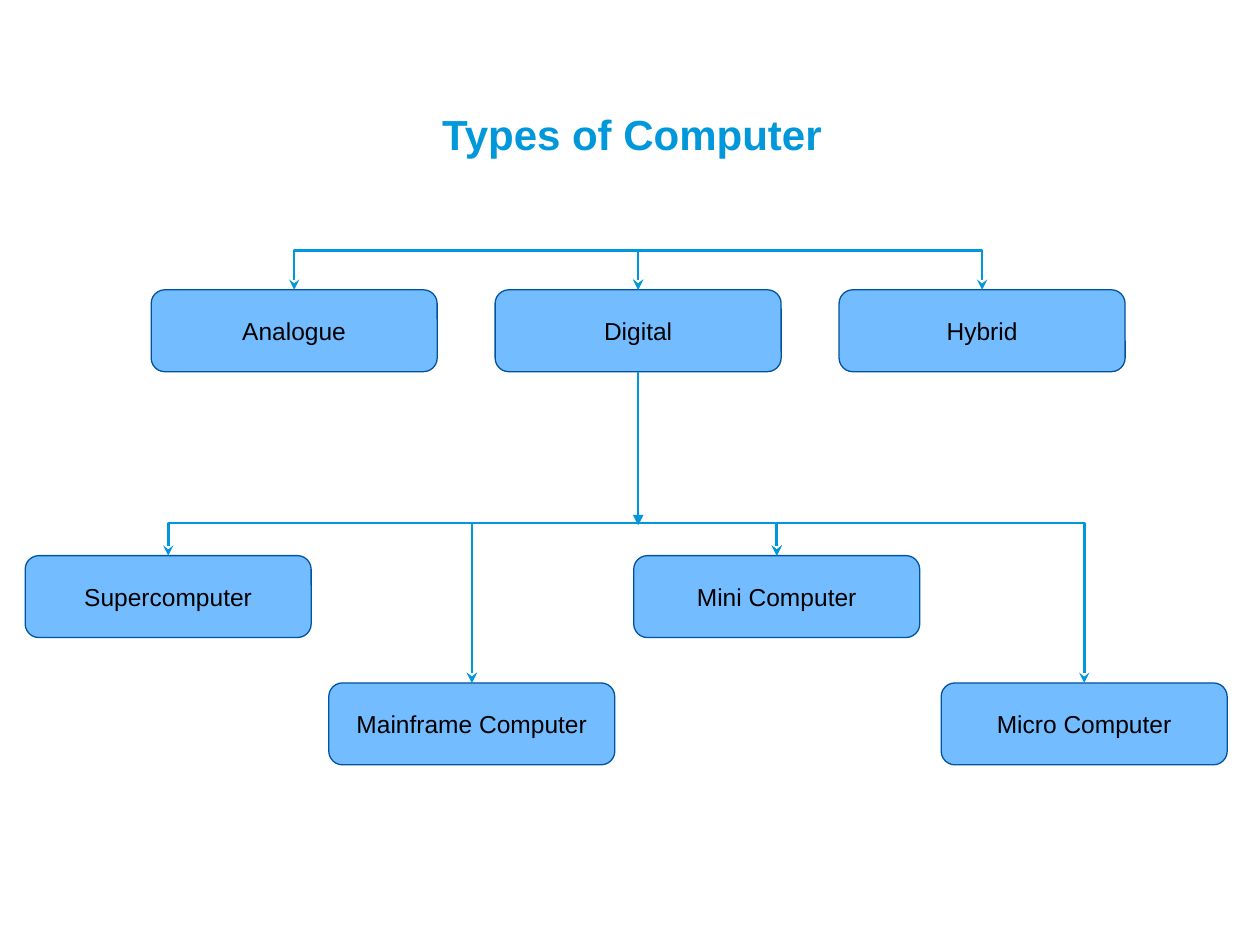
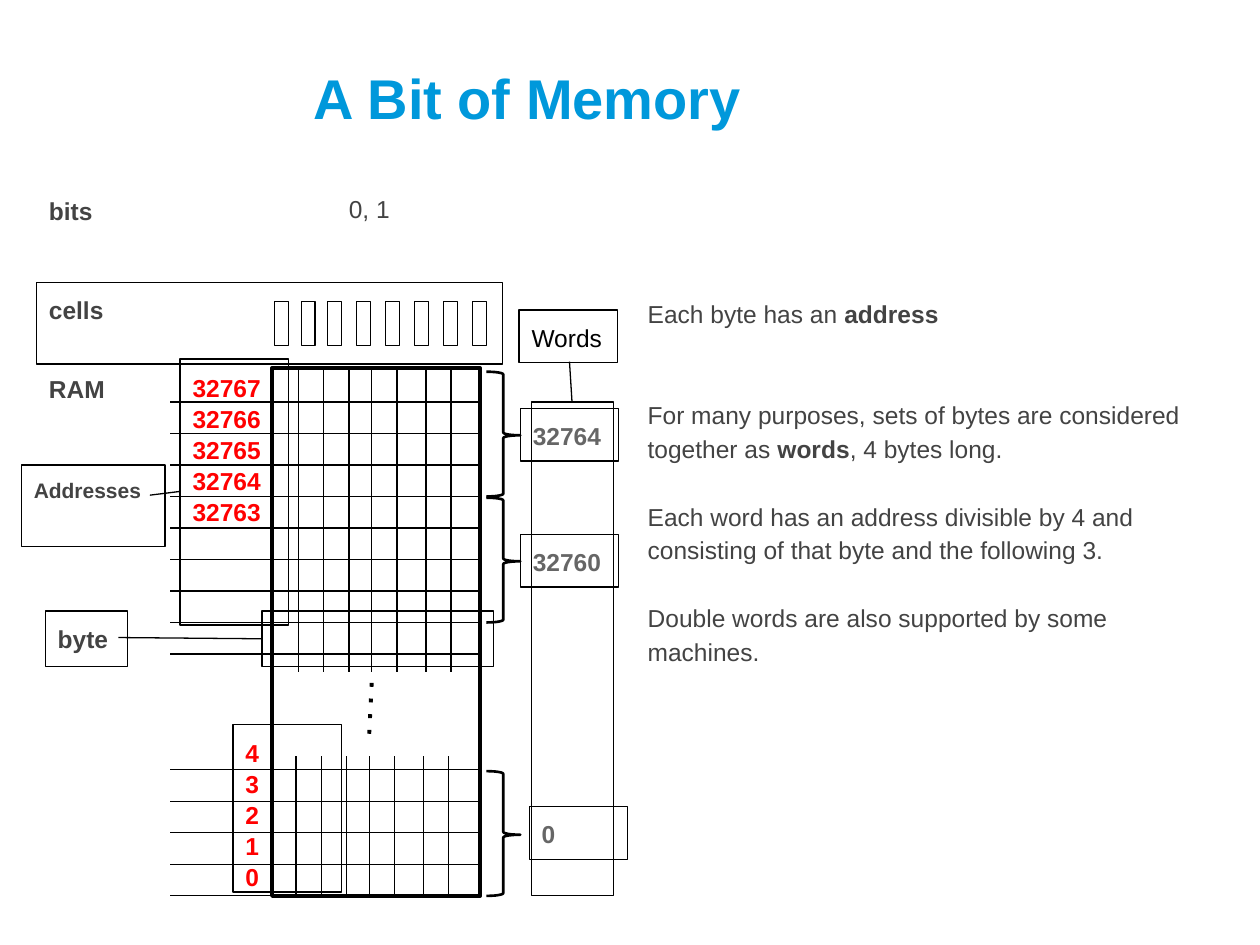
import dataclasses

import lxml.etree
import pptx
import pptx.dml.color
import pptx.enum.shapes
import pptx.enum.text
import pptx.oxml.ns
import pptx.util

KIND = pptx.enum.shapes.MSO_SHAPE
LINK = pptx.enum.shapes.MSO_CONNECTOR
ALIGN = pptx.enum.text.PP_ALIGN
ANCHOR = pptx.enum.text.MSO_ANCHOR


@dataclasses.dataclass(frozen=True)
class Theme:
    font: str = "Arial"
    blue: str = "0098DB"
    sky: str = "72BCFF"
    navy: str = "00549F"
    black: str = "000000"
    dark: str = "434343"
    grey: str = "666666"
    red: str = "FF0000"
    head: float = 32
    sub: float = 24
    text: float = 14
    small: float = 12
    thin: float = 0.75
    mid: float = 1.5
    thick: float = 2.25


THEME = Theme()
COLS, ROWS = 100, 75
CELL = pptx.util.Inches(0.1)


def grid(*cells):
    """Turn grid columns or rows into slide lengths."""
    return [round(cell * CELL) for cell in cells]


def rgb(code):
    return pptx.dml.color.RGBColor.from_string(code)


def put(parent, tag, **attrs):
    return lxml.etree.SubElement(parent, pptx.oxml.ns.qn(tag), **attrs)


def place(shape, box):
    shape.left, shape.top, shape.width, shape.height = grid(*box)


def write(frame, paras, color, size=THEME.text, bold=False, align=ALIGN.LEFT,
          anchor=ANCHOR.TOP, pad=1, lead=None):
    """Fill a frame; each paragraph is a string or a list of (text, bold)."""
    frame.word_wrap = True
    frame.auto_size = pptx.enum.text.MSO_AUTO_SIZE.NONE
    frame.vertical_anchor = anchor
    frame.margin_left = frame.margin_right = CELL
    frame.margin_top = frame.margin_bottom = grid(pad)[0]
    for num, runs in enumerate(paras):
        para = frame.add_paragraph() if num else frame.paragraphs[0]
        para.alignment = align
        para.space_before = pptx.util.Pt(0)
        if lead:
            para.line_spacing = lead
        for text, strong in [(runs, bold)] if isinstance(runs, str) else runs:
            run = para.add_run()
            run.text = text
            run.font.name = THEME.font
            run.font.size = pptx.util.Pt(size)
            run.font.bold = strong
            run.font.color.rgb = rgb(color)


def title(slide, text, box, size):
    shape = slide.shapes.title
    place(shape, box)
    write(shape.text_frame, [text], THEME.blue, size, True,
          anchor=ANCHOR.BOTTOM, pad=0.5)


def label(slide, text, box, bold=True):
    shape = slide.shapes.add_textbox(*grid(*box))
    write(shape.text_frame, [text], THEME.dark, bold=bold, pad=0.5)


def body(slide, paras, box, gaps):
    """Plain prose; gaps holds the points of space above each paragraph."""
    shape = slide.placeholders[1]
    place(shape, box)
    write(shape.text_frame, paras, THEME.dark, lead=1.15)
    for para, gap in zip(shape.text_frame.paragraphs, gaps):
        para.space_before = pptx.util.Pt(gap)
        props = para._p.get_or_add_pPr()
        props.set("marL", "0")
        props.set("indent", "0")
        put(props, "a:buNone")


def shape(slide, box, kind=KIND.RECTANGLE, fill=None, edge=THEME.black,
          width=THEME.thin):
    item = slide.shapes.add_shape(kind, *grid(*box))
    item.shadow.inherit = False
    if fill:
        item.fill.solid()
        item.fill.fore_color.rgb = rgb(fill)
    else:
        item.fill.background()
    item.line.color.rgb = rgb(edge)
    item.line.width = pptx.util.Pt(width)
    return item


def frame(slide, box, paras=(), color=THEME.dark, **style):
    """An outlined box with optional text."""
    item = shape(slide, box)
    if paras:
        write(item.text_frame, paras, color, **style)


def node(slide, text, left, top):
    item = shape(slide, (left, top, *NODE), KIND.ROUNDED_RECTANGLE,
                 THEME.sky, THEME.navy)
    write(item.text_frame, [text], THEME.black, align=ALIGN.CENTER,
          anchor=ANCHOR.MIDDLE)


def brace(slide, top):
    item = shape(slide, (38.6, top, 2.7, 9.9), KIND.RIGHT_BRACE,
                 width=THEME.mid)
    item.adjustments[0], item.adjustments[1] = 0.08, 0.51


def line(shapes, start, end, color=THEME.black, width=THEME.thin, dash=None,
         head=None, tail=None, kind=LINK.STRAIGHT):
    item = shapes.add_connector(kind, *grid(*start, *end))
    item.line.color.rgb = rgb(color)
    item.line.width = pptx.util.Pt(width)
    pen = item.line._get_or_add_ln()
    for tag, name, value in (("a:prstDash", "val", dash),
                             ("a:headEnd", "type", head),
                             ("a:tailEnd", "type", tail)):
        if value:
            put(pen, tag, **{name: value})
    put(item._element.spPr, "a:effectLst")
    return item


def fork(slide, start, end, bus):
    """Elbow that leaves start upward, runs along row bus and drops to end."""
    item = line(slide.shapes, start, end, THEME.blue, THEME.mid,
                head="stealth", tail="stealth", kind=LINK.ELBOW)
    x1, y1, x2, y2, level = grid(*start, *end, bus)
    down = y2 >= y1
    # A level pair still needs a tiny extent to scale the bend by.
    rise = max(abs(y2 - y1), 600)
    span = x2 - x1
    item.left, item.top = (x1 + x2 - rise) // 2, (y1 + y2 - span) // 2
    item.width, item.height = rise, span
    props = item._element.spPr
    xfrm = props.find(pptx.oxml.ns.qn("a:xfrm"))
    # The turn sets the direction, so only a downward pair is mirrored.
    xfrm.set("rot", str(270 * 60000))
    xfrm.set("flipH", str(int(down)))
    xfrm.set("flipV", "0")
    bend = (level - y1) / (rise if down else -rise)
    geom = props.find(pptx.oxml.ns.qn("a:prstGeom"))
    stops = geom.find(pptx.oxml.ns.qn("a:avLst"))
    if stops is None:
        stops = put(geom, "a:avLst")
    put(stops, "a:gd", name="adj1", fmla=f"val {round(bend * 100000)}")


def tree(slide, nodes, bus):
    """Nodes as (text, left, top), joined pairwise from a common row."""
    for item in nodes:
        node(slide, *item)
    tops = [(left + NODE[0] / 2, top) for _, left, top in nodes]
    for start, end in zip(tops, tops[1:]):
        fork(slide, start, end, bus)


def bits(slide, left, top, foot):
    """The column rules between the bits of each byte."""
    group = slide.shapes.add_group_shape()
    for step in (0, 2, 4, 5.8, 7.8, 10.1, 12.1):
        line(group.shapes, (left + step, top), (left + step, foot))


NODE = (22.7, 6.5)
KINDS = [("Analogue", 12, 23), ("Digital", 39.3, 23), ("Hybrid", 66.6, 23)]
SIZES = [("Supercomputer", 2, 44.1), ("Mainframe Computer", 26.1, 54.2),
         ("Mini Computer", 50.3, 44.1), ("Micro Computer", 74.7, 54.2)]
NOTES = [
    [("Each byte has an ", False), ("address", True)],
    [("For many purposes, sets of bytes are considered together as ", False),
     ("words", True), (", 4 bytes long.", False)],
    "Each word has an address divisible by 4 and consisting of that byte "
    "and the following 3.",
    "Double words are also supported by some machines.",
]


def types(slide):
    title(slide, "Types of Computer", (34.1, 7.5, 38.1, 5.6), THEME.sub)
    tree(slide, KINDS, 20.4)
    tree(slide, SIZES, 41.5)
    axis = KINDS[1][1] + NODE[0] / 2
    line(slide.shapes, (axis, 29.5), (axis, 41.7), THEME.blue, THEME.mid,
         tail="triangle")


def memory(slide):
    title(slide, "A Bit of Memory", (23.9, 4.5, 74.8, 6.4), THEME.head)
    body(slide, NOTES, (50.4, 22.4, 45.4, 49.6), (0, 38.5, 19.25, 19.25))
    label(slide, "0, 1", (26.7, 14.9, 8.2, 3.7), bold=False)
    label(slide, "bits", (2.9, 15.1, 11.4, 3.7))
    label(slide, "RAM", (2.9, 29.2, 10, 4.3))

    frame(slide, (2.9, 22.4, 37, 6.5), ["cells"], bold=True)
    for left in (21.8, 23.9, 26, 28.3, 30.6, 32.9, 35.2, 37.5):
        frame(slide, (left, 23.9, 1.1, 3.5))

    shape(slide, (21.6, 29.2, 16.5, 41.9), width=THEME.thick)
    for top, count in ((31.9, 9), (61.1, 5)):
        for row in range(count):
            level = top + 2.5 * row
            line(slide.shapes, (13.5, level), (38.1, level))
    bits(slide, 23.7, 29.4, 53.3)
    bits(slide, 23.5, 60, 71.2)
    line(slide.shapes, (29.5, 54.2), (29.3, 58.3), width=THEME.thick,
         dash="dot")

    frame(slide, (20.8, 48.5, 18.4, 4.4))
    frame(slide, (3.6, 48.5, 6.5, 4.4), ["byte"], bold=True)
    frame(slide, (1.7, 36.9, 11.4, 6.5), ["Addresses"], size=THEME.small,
          bold=True)
    for box, first in (((14.3, 28.5, 8.6, 21.1), 32767),
                       ((18.5, 57.5, 8.6, 13.3), 4)):
        frame(slide, box, [str(first - row) for row in range(5)], THEME.red,
              bold=True, lead=1.05)

    for top in (29.5, 39.5, 61.2):
        brace(slide, top)
    for text, left, top in (("32764", 41.3, 32.4), ("32760", 41.3, 42.4),
                            ("0", 42, 64)):
        frame(slide, (left, top, 7.8, 4.2), [text], THEME.grey, bold=True)
    frame(slide, (41.2, 24.6, 7.8, 4.2), ["Words"], THEME.black)
    frame(slide, (42.2, 31.9, 6.5, 39.2))

    for start, end in (((20.8, 50.7), (9.4, 50.6)),
                       ((45.2, 28.7), (45.4, 31.9)),
                       ((14.3, 39), (11.9, 39.3))):
        line(slide.shapes, start, end)


def main():
    deck = pptx.Presentation()
    deck.slide_width, deck.slide_height = grid(COLS, ROWS)
    bare, full = deck.slide_layouts[5], deck.slide_layouts[1]
    types(deck.slides.add_slide(bare))
    memory(deck.slides.add_slide(full))
    deck.save("out.pptx")


if __name__ == "__main__":
    main()
